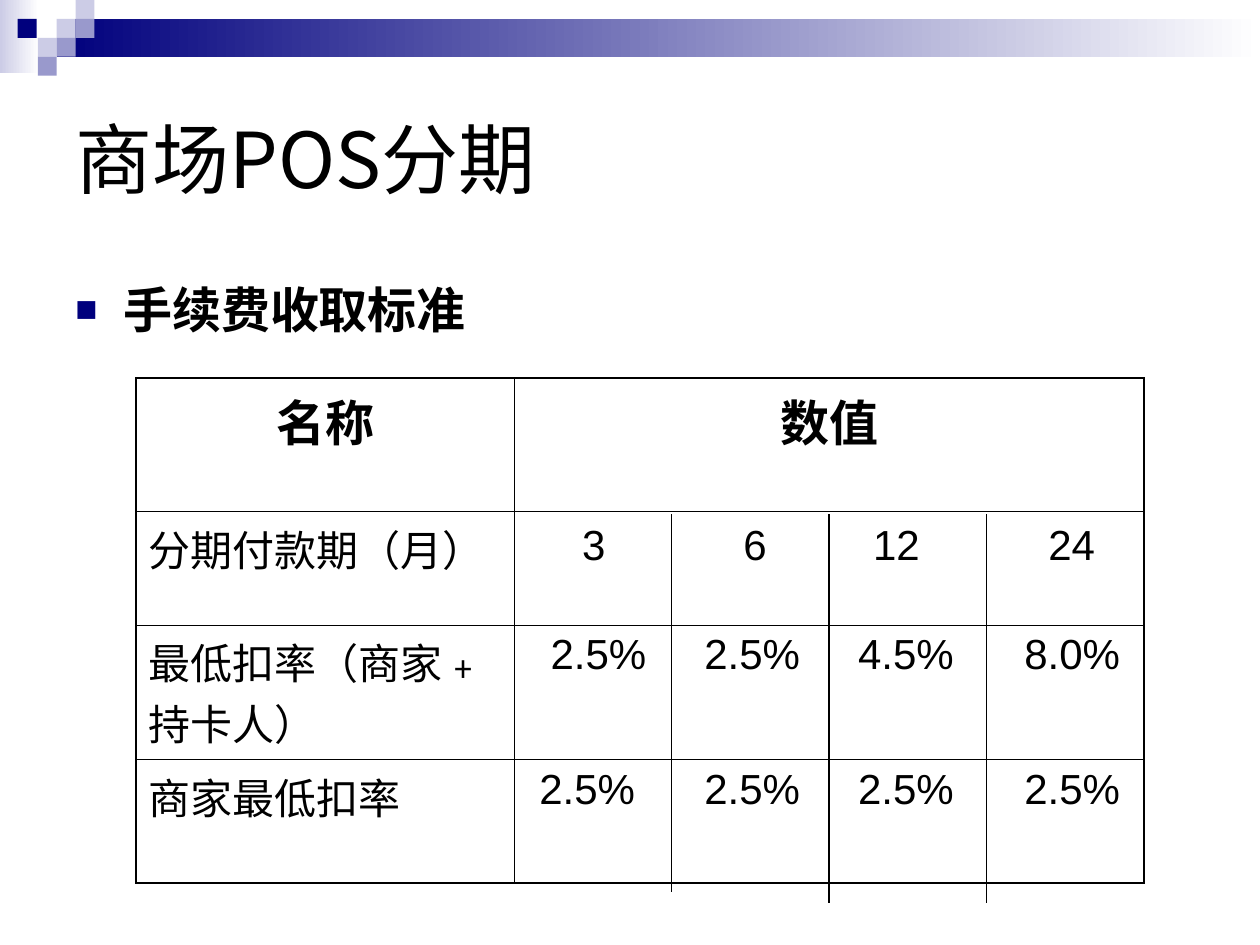
from lxml import etree
from pptx import Presentation
from pptx import util as u
from pptx.dml.color import RGBColor
from pptx.enum import shapes, text
from pptx.oxml import ns

COLORS = {"navy": "00007D", "mid": "9999CC", "pale": "CCCCE6",
          "white": "FFFFFF", "black": "000000"}
CJK = "Noto Sans CJK SC"
SQUARES = [(0.45, 0.15, "pale"), (0.6, 0, "pale"), (0.6, 0.15, "mid"),
           (0.3, 0.3, "pale"), (0.14, 0.15, "navy"), (0.45, 0.3, "mid"),
           (0.3, 0.45, "mid")]
RATE_TABS = [1.41, 2.63, 3.95]
ROWS = [
    ("分期付款期（月）", ["3", "6", "12", "24"], [0.44, 1.72, 2.75, 4.14], 0.09),
    ("最低扣率（商家﹢持卡人）", ["2.5%", "2.5%", "4.5%", "8.0%"], [0.19] + RATE_TABS, 0.05),
    ("商家最低扣率", ["2.5%"] * 4, [0.1] + RATE_TABS, 0.05),
]
ROW_HEIGHTS = [1.06, 0.9, 1.07, 0.98]
TABLE_LEFT, TABLE_TOP = 1.08, 3


def rgb(name):
    return RGBColor.from_string(COLORS[name])


def add_node(parent, tag, **attrs):
    return etree.SubElement(parent, ns.qn(tag), attrs)


def add_run(p, content, size, bold=False, font="Arial"):
    r = p.add_run()
    r.text = content
    r.font.size = u.Pt(size)
    r.font.bold = bold
    r.font.name = font
    r.font.color.rgb = rgb("black")
    add_node(r.font._element, "a:ea", typeface=CJK)


def add_rect(s, left, top, width, height, color, fade=False):
    sp = s.shapes.add_shape(shapes.MSO_SHAPE.RECTANGLE, u.Inches(left), u.Inches(top),
                            u.Inches(width), u.Inches(height))
    sp.shadow.inherit = False
    sp.line.fill.background()
    if fade:
        sp.fill.gradient()
        sp.fill.gradient_angle = 180
        for stop, name in zip(sp.fill.gradient_stops, ("white", color)):
            stop.color.rgb = rgb(name)
    else:
        sp.fill.solid()
        sp.fill.fore_color.rgb = rgb(color)


def add_header(s):
    add_rect(s, 0, 0, 0.31, 0.58, "pale", fade=True)
    add_rect(s, 0.45, 0.15, 9.55, 0.3, "navy", fade=True)
    for left, top, color in SQUARES:
        add_rect(s, left, top, 0.15, 0.15, color)


def set_title(s, content):
    sp = s.shapes.title
    sp.left, sp.top, sp.width, sp.height = map(u.Inches, (0.5, 0.5, 9, 1.5))
    sp.text_frame.vertical_anchor = text.MSO_ANCHOR.MIDDLE
    p = sp.text_frame.paragraphs[0]
    p.alignment = text.PP_ALIGN.LEFT
    add_run(p, content, 44, font=CJK)


def add_bullet(s, content):
    sp = s.shapes.add_textbox(*map(u.Inches, (0.5, 2.17, 4.42, 0.7)))
    sp.text_frame.word_wrap = True
    p = sp.text_frame.paragraphs[0]
    p.space_before = u.Pt(7)
    pPr = p._p.get_or_add_pPr()
    pPr.set("marL", str(u.Inches(0.38)))
    pPr.set("indent", str(-u.Inches(0.38)))
    add_node(add_node(pPr, "a:buClr"), "a:srgbClr", val=COLORS["navy"])
    add_node(pPr, "a:buSzPct", val="75000")
    add_node(pPr, "a:buFont", typeface="Arial")
    add_node(pPr, "a:buChar", char="■")
    add_run(p, content, 28, bold=True)


def set_borders(cell, outer):
    tcPr = cell._tc.get_or_add_tcPr()
    for i, side in enumerate("LRTB"):
        width = 1.08 if side in outer else 0.45
        ln = etree.Element(ns.qn("a:ln" + side), w=str(u.Pt(width)))
        add_node(add_node(ln, "a:solidFill"), "a:srgbClr", val=COLORS["black"])
        tcPr.insert(i, ln)


def fill_cell(cell, content, size, bold=False, tabs=()):
    p = cell.text_frame.paragraphs[0]
    p.space_before = u.Pt(7 if bold else 6)
    if bold:
        p.alignment = text.PP_ALIGN.CENTER
    if tabs:
        tab_list = add_node(p._p.get_or_add_pPr(), "a:tabLst")
        for pos in tabs:
            add_node(tab_list, "a:tab", pos=str(u.Inches(pos)), algn="l")
    add_run(p, content, size, bold)


def add_fee_table(s):
    table = s.shapes.add_table(4, 2, u.Inches(TABLE_LEFT), u.Inches(TABLE_TOP),
                               u.Inches(8), u.Inches(sum(ROW_HEIGHTS))).table
    table.first_row = table.horz_banding = False
    for col, width in zip(table.columns, (3, 5)):
        col.width = u.Inches(width)
    for i, (row, height) in enumerate(zip(table.rows, ROW_HEIGHTS)):
        row.height = u.Inches(height)
        for cell, side in zip(row.cells, "LR"):
            cell.fill.background()
            set_borders(cell, side + {0: "T", 3: "B"}.get(i, ""))
    for col, heading in enumerate(("名称", "数值")):
        fill_cell(table.cell(0, col), heading, 28, bold=True)
    for i, (label, values, tabs, margin) in enumerate(ROWS, 1):
        fill_cell(table.cell(i, 0), label, 24)
        cell = table.cell(i, 1)
        cell.margin_top = u.Inches(margin)
        fill_cell(cell, "".join("\t" + v for v in values), 24, tabs=tabs)


def add_dividers(s):
    for i, bottom in enumerate((7.08, 7.17, 7.17)):
        x = u.Inches(5.33 + 1.25 * i)
        line = s.shapes.add_connector(shapes.MSO_CONNECTOR.STRAIGHT,
                                      x, u.Inches(4.08), x, u.Inches(bottom))
        line.line.color.rgb = rgb("black")
        line.line.width = u.Pt(0.75)
        add_node(line._element.spPr, "a:effectLst")


def main():
    prs = Presentation()
    prs.slide_width, prs.slide_height = u.Inches(10), u.Inches(7.5)
    s = prs.slides.add_slide(prs.slide_layouts[5])
    add_header(s)
    set_title(s, "商场POS分期")
    add_bullet(s, "手续费收取标准")
    add_fee_table(s)
    add_dividers(s)
    prs.save("out.pptx")


if __name__ == "__main__":
    main()
